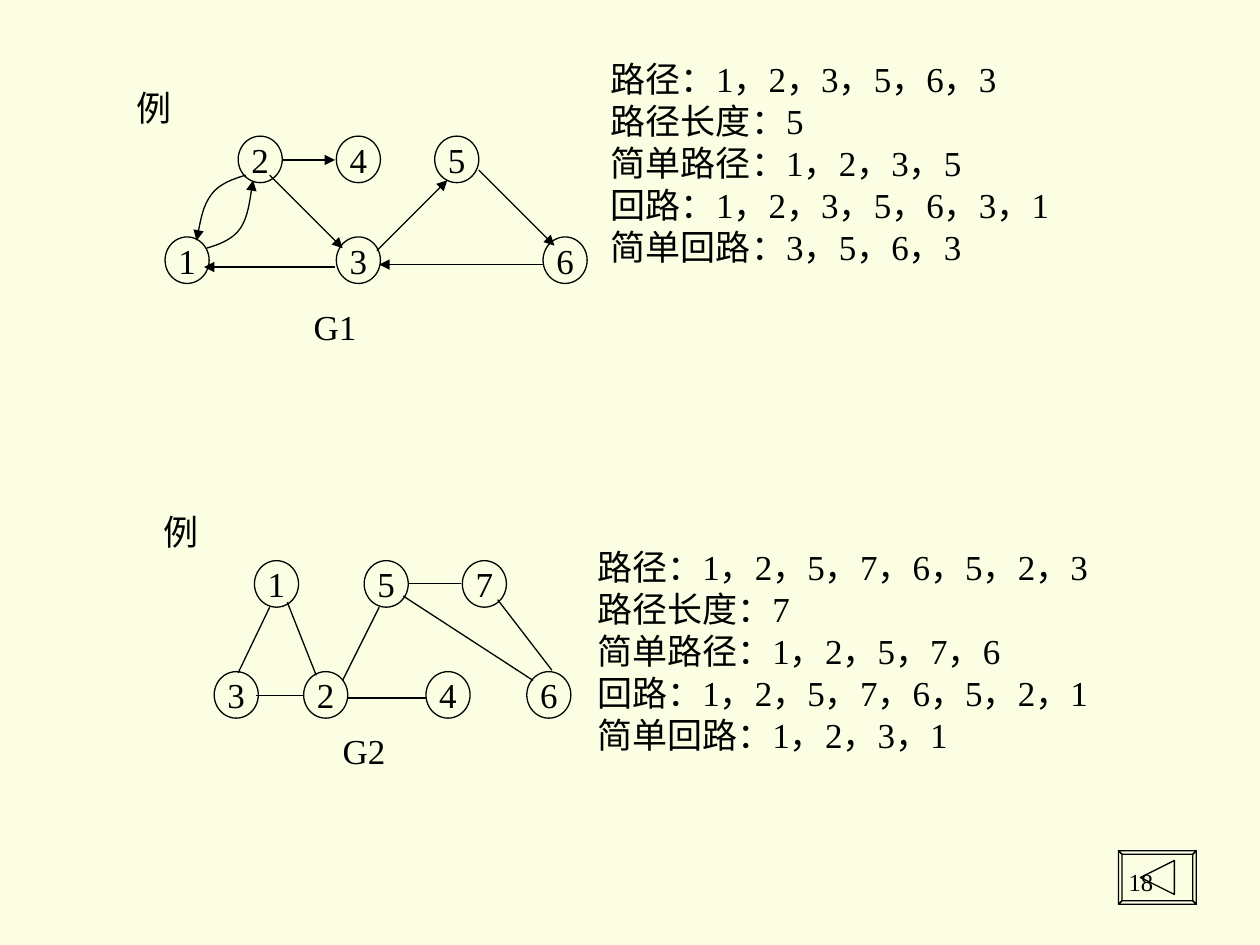
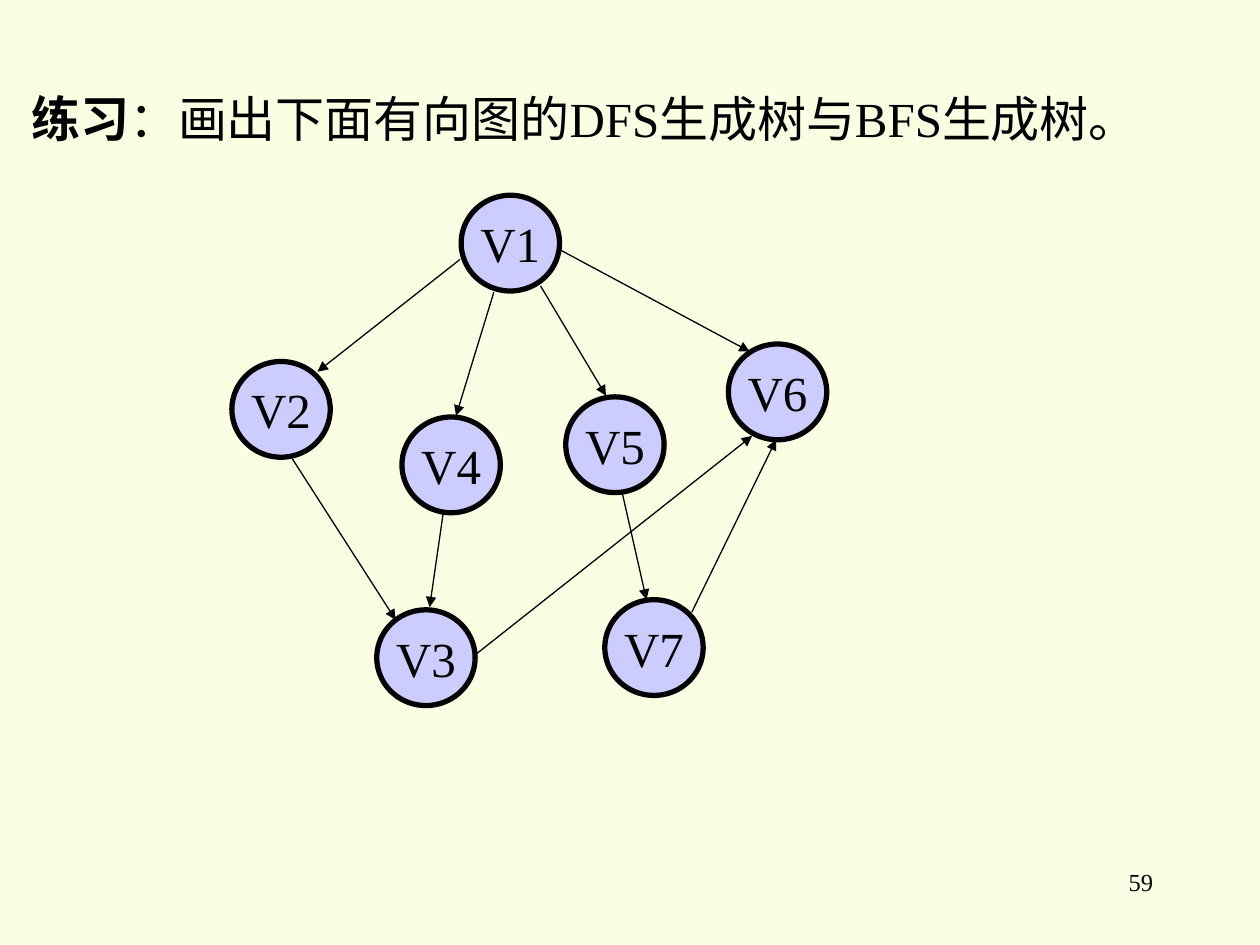
import pptx
import pptx.util
import pptx.dml.color
import pptx.enum.shapes
import pptx.enum.text
import pptx.oxml.ns
from lxml import etree

Pt = pptx.util.Pt
RGBColor = pptx.dml.color.RGBColor
Anchor = pptx.enum.text.MSO_ANCHOR
Align = pptx.enum.text.PP_ALIGN
Shape = pptx.enum.shapes.MSO_SHAPE
qn = pptx.oxml.ns.qn

BLACK = RGBColor(0x00, 0x00, 0x00)
CREAM = RGBColor(0xFB, 0xFE, 0xE2)
LILAC = RGBColor(0xCC, 0xCC, 0xFF)
FONT = "Times New Roman"
THIN, THICK = 0.75, 3


class Deck:
    """Holds the shared style and the slide being drawn."""

    def __init__(self):
        self.file = pptx.Presentation()
        self.file.slide_width, self.file.slide_height = Pt(720), Pt(540)
        fill = self.file.slide_master.background.fill
        fill.solid()
        fill.fore_color.rgb = CREAM
        self.slide = None

    def page(self, number):
        self.slide = self.file.slides.add_slide(self.file.slide_layouts[6])
        self.text((516.2, 491.8, 149.8, 36), [number], 14, Align.RIGHT, wrap=True)

    def style(self, para, size, align):
        para.alignment = align
        font = para.font
        font.name, font.size = FONT, Pt(size)
        font.color.rgb = BLACK

    def text(self, box, lines, size=20, align=Align.LEFT,
             anchor=Anchor.TOP, wrap=False):
        """Add a text box; a line is a string or a (bold, plain) pair."""
        frame = self.slide.shapes.add_textbox(*map(Pt, box)).text_frame
        frame.word_wrap, frame.vertical_anchor = wrap, anchor
        if not wrap:
            frame.auto_size = pptx.enum.text.MSO_AUTO_SIZE.SHAPE_TO_FIT_TEXT
        for i, line in enumerate(lines):
            para = frame.add_paragraph() if i else frame.paragraphs[0]
            self.style(para, size, align)
            if isinstance(line, str):
                para.add_run().text = line
            else:
                for part, bold in zip(line, (True, False)):
                    run = para.add_run()
                    run.text, run.font.bold = part, bold

    def label(self, left, top, width, words):
        self.text((left, top, width, 31.5), [words], 20, Align.CENTER, Anchor.MIDDLE)

    def node(self, name, spot, extent, size, fill=None, weight=THIN):
        oval = self.slide.shapes.add_shape(
            Shape.OVAL, *map(Pt, (*spot, *extent)))
        oval.shadow.inherit = False
        if fill is None:
            oval.fill.background()
        else:
            oval.fill.solid()
            oval.fill.fore_color.rgb = fill
        self.stroke(oval, weight)
        frame = oval.text_frame
        frame.word_wrap, frame.vertical_anchor = False, Anchor.MIDDLE
        frame.margin_left = frame.margin_right = Pt(7.2)
        para = frame.paragraphs[0]
        self.style(para, size, Align.CENTER)
        para.add_run().text = name

    def stroke(self, item, weight=THIN, arrow=False):
        item.line.color.rgb = BLACK
        item.line.width = Pt(weight)
        if arrow:
            line = item.element.spPr.find(qn("a:ln"))
            etree.SubElement(line, qn("a:tailEnd"), type="triangle")

    def edge(self, x1, y1, x2, y2, arrow=False):
        line = self.slide.shapes.add_connector(
            pptx.enum.shapes.MSO_CONNECTOR.STRAIGHT, *map(Pt, (x1, y1, x2, y2)))
        self.stroke(line, THIN, arrow)
        etree.SubElement(line.element.spPr, qn("a:effectLst"))

    def trace(self, paths, close=False):
        """Add one unfilled outline made of several runs of points."""
        paths = [[tuple(map(Pt, spot)) for spot in route] for route in paths]
        pen = self.slide.shapes.build_freeform(*paths[0][0])
        for i, route in enumerate(paths):
            if i:
                pen.move_to(*route[0])
            pen.add_line_segments(route[1:], close=close)
        form = pen.convert_to_shape()
        form.shadow.inherit = False
        form.fill.background()
        self.stroke(form)
        return form

    def curve(self, spots):
        """Add an arrow of Bezier arcs: a start, then three points per arc."""
        form = self.trace([spots])
        self.stroke(form, THIN, arrow=True)
        steps = list(form.element.iter(qn("a:lnTo")))
        route = steps[0].getparent()
        for i in range(0, len(steps), 3):
            arc = etree.SubElement(route, qn("a:cubicBezTo"))
            for step in steps[i:i + 3]:
                arc.append(step[0])
                route.remove(step)

    def button(self, left, top, right, bottom, rim):
        """Add a bevelled frame with a triangle that points back."""
        def frame(gap):
            x1, y1, x2, y2 = left + gap, top + gap, right - gap, bottom - gap
            return [(x1, y1), (x2, y1), (x2, y2), (x1, y2)]

        outer, inner = frame(0), frame(rim)
        sides = [[outer[i - 1], outer[i], inner[i], inner[i - 1]] for i in range(4)]
        x, y, half = (left + right) / 2, (top + bottom) / 2, 9.7
        arrow = [(x - half, y), (x + half, y - half), (x + half, y + half)]
        self.trace([outer, *sides, arrow], close=True)

    def graph(self, nodes, edges, arrow, extent=(25.2, 26.6), size=20, **look):
        for name, spot in nodes.items():
            self.node(name, spot, extent, size, **look)
        for ends in edges:
            self.edge(*ends, arrow=arrow)


def row(top, **lefts):
    """Place nodes n1, n2, ... of one row at their left edges."""
    return {name[1:]: (left, top) for name, left in lefts.items()}


def facts(*values):
    heads = ("路径", "路径长度", "简单路径", "回路", "简单回路")
    return [f"{head}：{'，'.join(value)}" for head, value in zip(heads, values)]


def paths(deck):
    deck.page("18")
    deck.label(86.4, 288, 34.6, "例")
    deck.graph(
        row(320.4, n1=145.4, n5=208.1, n7=264.2)
        | row(383.8, n3=122.4, n2=173.5, n4=243.4, n6=301),
        [(154.1, 347, 136.1, 384.5), (146.2, 397.4, 173.5, 397.4),
         (164.2, 344.2, 180.7, 385.9), (216.7, 347, 195.8, 388.8),
         (198.7, 398.9, 243.4, 398.9), (233.3, 333.4, 263.5, 333.4),
         (230.4, 340.6, 304.6, 388.8), (284.4, 342.7, 315.4, 383)],
        arrow=False)
    deck.label(188.6, 413.3, 38.9, "G2")

    deck.label(70.6, 45.4, 34.6, "例")
    deck.graph(
        row(77.8, n2=136.1, n4=192.2, n5=248.4)
        | row(135.4, n1=94.3, n3=192.2, n6=310.3),
        [(161.3, 91.4, 191.5, 91.4), (154.1, 100.1, 195.8, 141.8),
         (311, 151.2, 216.7, 151.2), (215.3, 143.3, 255.6, 103),
         (273.6, 97.2, 316.8, 140.4), (191.5, 152.6, 116.6, 152.6)],
        arrow=True)
    deck.curve([(140.4, 100.1), (133.2, 102.2), (125.3, 105.1), (121, 110.9),
                (115.9, 117.4), (113, 133.9), (112.3, 137.5)])
    deck.curve([(118.1, 141.8), (125.3, 139.7), (133.2, 136.8), (137.5, 130.3),
                (141.8, 123.8), (144, 106.6), (144.7, 103)])
    deck.label(172.1, 170.6, 38.9, "G1")

    deck.text((342, 29.5, 326.9, 127.4),
              facts("123563", "5", "1235", "1235631", "3563"))
    deck.text((334.1, 308.2, 366.5, 127.4),
              facts("12576523", "7", "12576", "12576521", "1231"))
    deck.button(639.2, 486.2, 683.6, 516.7, 2)


def task(deck):
    deck.page("59")
    deck.text((10.8, 46.8, 673.2, 41),
              [("练习", "：画出下面有向图的DFS生成树与BFS生成树。")], 28)
    deck.graph(
        {"V2": (132.5, 206.6), "V4": (229.7, 238.3), "V5": (323.3, 226.8),
         "V3": (215.3, 348.5), "V7": (345.6, 342.7), "V6": (416.2, 196.6),
         "V1": (263.5, 111.6)},
        [(262.8, 148.3, 181.4, 212.4), (282.2, 167, 260.6, 237.6),
         (308.9, 163.4, 346.3, 226.1), (319.7, 142.6, 428.4, 200.9),
         (167, 262.1, 226.1, 354.2), (253.4, 292.3, 245.5, 347),
         (272.2, 373.7, 429.8, 249.1), (355.7, 282.2, 369.4, 342.7),
         (395.3, 349.9, 443.5, 251.3)],
        arrow=True, extent=(56.2, 54.7), size=28, fill=LILAC, weight=THICK)


def main():
    deck = Deck()
    paths(deck)
    task(deck)
    deck.file.save("out.pptx")


if __name__ == "__main__":
    main()
